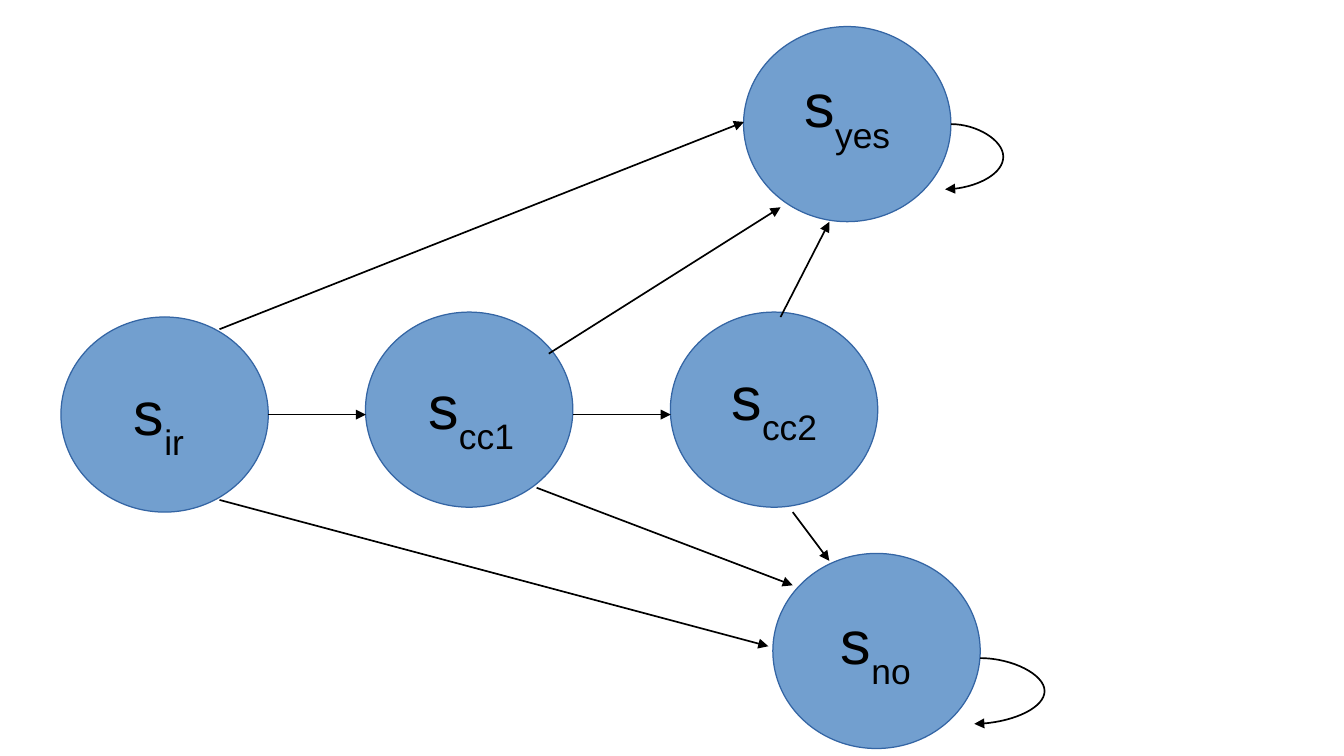
"""Draw a state diagram with five states, their labels and transitions."""
from typing import NamedTuple

from lxml import etree
from pptx import Presentation
from pptx import util as u
from pptx.dml import color
from pptx.enum import shapes, text
from pptx.oxml import ns

WIDE, HIGH = 122.4, 115.2
BLACK = "000000"


class State(NamedTuple):
    sub: str
    left: float
    top: float
    text_x: float
    text_y: float


class Move(NamedTuple):
    x1: float
    y1: float
    x2: float
    y2: float
    bulge: float = 0


STATES = [
    State("ir", 36, 187.2, 72, 217.44),
    State("cc1", 215.8, 184.32, 245.9, 213.84),
    State("cc2", 395.8, 184.32, 424.8, 208.8),
    State("yes", 439, 15.7, 468, 36),
    State("no", 456.3, 326.8, 489.4, 352.8),
]
MOVES = [
    Move(158.4, 244.8, 216, 244.8),
    Move(129.6, 194.4, 439.2, 72),
    Move(324, 208.8, 460.8, 122.4),
    Move(129.6, 295.2, 453.6, 381.6),
    Move(316.8, 288, 468, 345.6),
    Move(338.4, 244.8, 396, 244.8),
    Move(460.8, 187.2, 489.6, 131.04),
    Move(468, 302.4, 489.6, 331.2),
    Move(561.4, 73.3, 558, 111.8, 30.96),
    Move(578.7, 388.6, 575.2, 427.4, 38.16),
]


def rgb(code: str) -> color.RGBColor:
    return color.RGBColor.from_string(code)


def clear(page) -> None:
    for holder in list(page.placeholders):
        node = holder.element
        node.getparent().remove(node)


def draw_state(slide, state: State) -> None:
    disc = slide.shapes.add_shape(
        shapes.MSO_SHAPE.OVAL, u.Pt(state.left), u.Pt(state.top), u.Pt(WIDE), u.Pt(HIGH))
    disc.shadow.inherit = False
    disc.fill.solid()
    disc.fill.fore_color.rgb = rgb("729FCF")
    disc.line.color.rgb = rgb("3465A4")
    disc.line.width = u.Pt(0)


def draw_label(slide, state: State) -> None:
    box = slide.shapes.add_textbox(
        u.Pt(state.text_x), u.Pt(state.text_y), u.Pt(64.8), u.Pt(57.6))
    frame = box.text_frame
    frame.word_wrap = False
    line = frame.paragraphs[0]
    line.alignment = text.PP_ALIGN.LEFT
    for part, base in (("s", 0), (state.sub, -33000)):
        run = line.add_run()
        run.text = part
        run.font.name = "Arial"
        run.font.size = u.Pt(36)
        run.font.color.rgb = rgb(BLACK)
        if base:
            run.font._element.set("baseline", str(base))


def draw_move(slide, move: Move) -> None:
    kinds = shapes.MSO_CONNECTOR
    kind = kinds.CURVE if move.bulge else kinds.STRAIGHT
    arrow = slide.shapes.add_connector(
        kind, u.Pt(move.x1), u.Pt(move.y1), u.Pt(move.x2), u.Pt(move.y2))
    arrow.line.color.rgb = rgb(BLACK)
    arrow.line.width = u.Pt(0.99)
    props = arrow._element.spPr
    etree.SubElement(props.find(ns.qn("a:ln")), ns.qn("a:tailEnd"), type="triangle")
    etree.SubElement(props, ns.qn("a:effectLst"))
    if move.bulge:
        ratio = round(-100000 * move.bulge / (move.x1 - move.x2))
        guides = props.find(".//" + ns.qn("a:avLst"))
        etree.SubElement(guides, ns.qn("a:gd"), name="adj1", fmla=f"val {ratio}")


def main() -> None:
    deck = Presentation()
    deck.slide_width, deck.slide_height = u.Pt(793.44), u.Pt(446.4)
    blank = deck.slide_layouts[6]
    clear(blank)
    slide = deck.slides.add_slide(blank)
    for state in STATES:
        draw_state(slide, state)
    for move in MOVES:
        draw_move(slide, move)
    for state in STATES:
        draw_label(slide, state)
    deck.save("out.pptx")


main()
